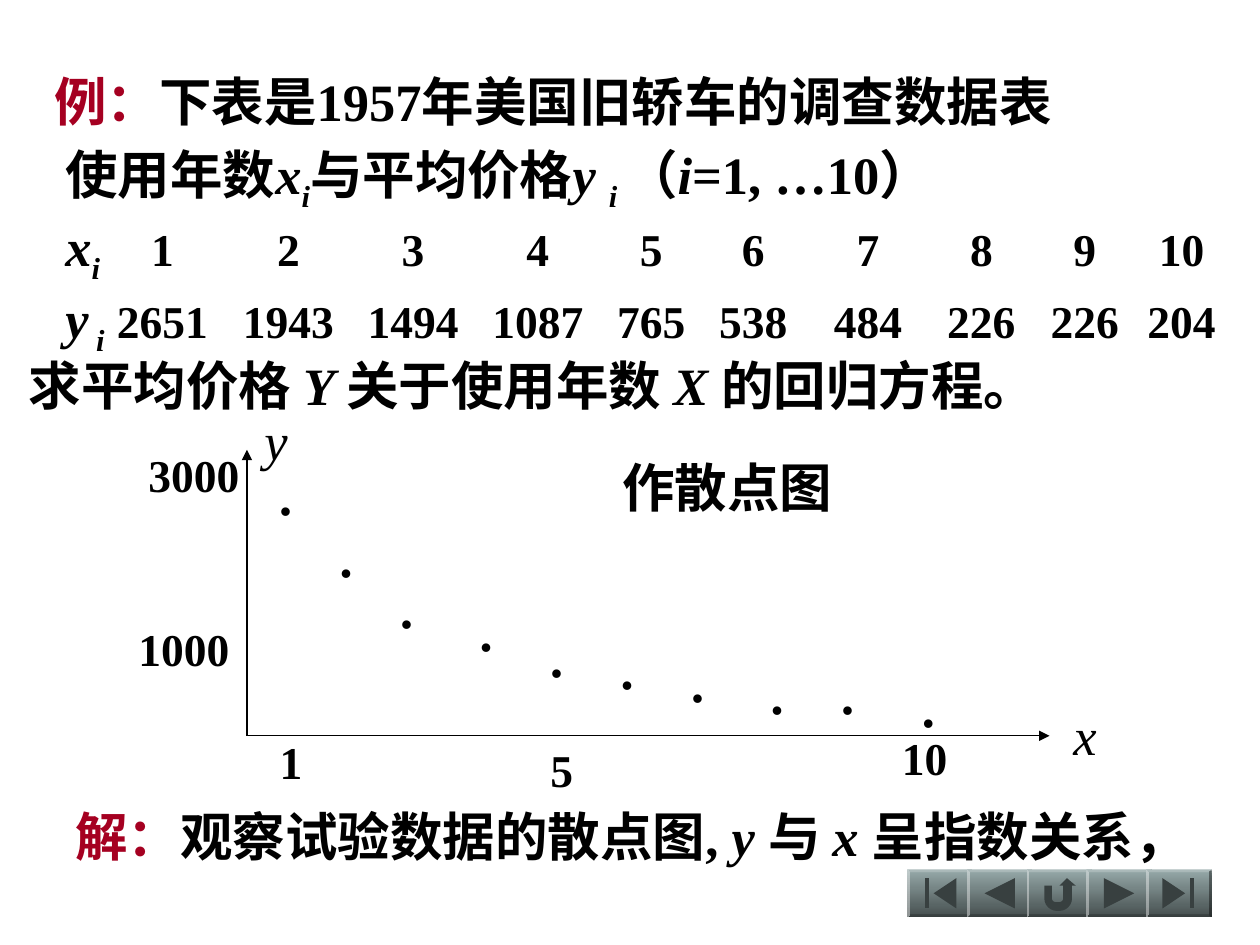
from dataclasses import dataclass
from math import cos, radians, sin

from lxml.etree import SubElement
from pptx import Presentation
from pptx.dml.color import RGBColor
from pptx.enum.shapes import MSO_CONNECTOR, MSO_SHAPE
from pptx.enum.text import MSO_ANCHOR, MSO_AUTO_SIZE, PP_ALIGN
from pptx.oxml.ns import qn
from pptx.util import Inches, Pt

FONT = "Times New Roman"
BLACK, RED = "000000", "A50021"
ICON_COLOR = "384040"
BUTTON_WIDTH, BUTTON_HEIGHT, BUTTON_STEP = 0.52, 0.38, 0.474
DATA_TABS = [0.77, 1.77, 2.76, 3.75, 4.65, 5.46, 6.37, 7.27, 8.09, 8.86]
YEARS = range(1, 11)
PRICES = [2651, 1943, 1494, 1087, 765, 538, 484, 226, 226, 204]
DOTS = [(2.1, 3.74), (2.58, 4.23), (3.06, 4.63), (3.69, 4.82), (4.25, 5.02),
        (4.81, 5.12), (5.37, 5.22), (6, 5.32), (6.56, 5.32), (7.2, 5.42)]


@dataclass
class Span:
    text: str
    size: float = 30
    color: str = BLACK
    bold: bool = True
    italic: bool = False
    baseline: int = 0


@dataclass
class Label:
    left: float
    top: float
    width: float
    height: float
    span: Span


def rgb(color: str) -> RGBColor:
    return RGBColor.from_string(color)


def variable(text: str) -> Span:
    return Span(text, italic=True)


def subscript(text: str) -> Span:
    return Span(text, italic=True, baseline=-25000)


def add_span(para, span: Span) -> None:
    run = para.add_run()
    run.text = span.text
    run.font.name = FONT
    run.font.size = Pt(span.size)
    run.font.bold = span.bold
    run.font.italic = span.italic
    run.font.color.rgb = rgb(span.color)
    if span.baseline:
        run.font._element.set("baseline", str(span.baseline))


def write_text(box, lines, *, wrap=False, spacing=36, tabs=()) -> None:
    frame = box.text_frame
    frame.word_wrap = wrap
    frame.auto_size = MSO_AUTO_SIZE.NONE
    frame.vertical_anchor = MSO_ANCHOR.TOP
    for number, spans in enumerate(lines):
        para = frame.add_paragraph() if number else frame.paragraphs[0]
        para.alignment = PP_ALIGN.LEFT
        para.line_spacing = Pt(spacing)
        if tabs:
            tab_list = SubElement(para._p.get_or_add_pPr(), qn("a:tabLst"))
            for position in tabs:
                tab = SubElement(tab_list, qn("a:tab"))
                tab.set("pos", str(Inches(position)))
                tab.set("algn", "ctr")
        for span in spans:
            add_span(para, span)


def add_text(slide, left, top, width, height, lines, **options) -> None:
    box = slide.shapes.add_textbox(Inches(left), Inches(top), Inches(width), Inches(height))
    write_text(box, lines, **options)


def add_axis(slide, start, end) -> None:
    axis = slide.shapes.add_connector(MSO_CONNECTOR.STRAIGHT, *map(Inches, start + end))
    axis.line.color.rgb = rgb(BLACK)
    axis.line.width = Pt(0.75)
    SubElement(axis.line._get_or_add_ln(), qn("a:tailEnd")).set("type", "triangle")
    SubElement(axis._element.spPr, qn("a:effectLst"))


def arc(center_x, center_y, radius, first, last):
    step = (last - first) // 6
    return [(center_x + radius * cos(radians(angle)), center_y + radius * sin(radians(angle)))
            for angle in range(first, last + step, step)]


def mirror(outlines):
    return [[(BUTTON_WIDTH - x, y) for x, y in points] for points in outlines]


def add_button(slide, left, top, outlines) -> None:
    face = slide.shapes.add_shape(MSO_SHAPE.BEVEL, Inches(left), Inches(top),
                                  Inches(BUTTON_WIDTH), Inches(BUTTON_HEIGHT))
    face.adjustments[0] = 0.06
    face.shadow.inherit = False
    face.line.fill.background()
    face.fill.gradient()
    face.fill.gradient_angle = 270
    for stop, color, position in zip(face.fill.gradient_stops, ("96A9A9", "454E4E"), (0, 1)):
        stop.color.rgb = rgb(color)
        stop.position = position
    for points in outlines:
        corners = [(Inches(left + x), Inches(top + y)) for x, y in points]
        builder = slide.shapes.build_freeform(*corners[0], scale=1.0)
        builder.add_line_segments(corners[1:], close=True)
        icon = builder.convert_to_shape()
        icon.shadow.inherit = False
        icon.fill.solid()
        icon.fill.fore_color.rgb = rgb(ICON_COLOR)
        icon.line.fill.background()


def add_navigation(slide) -> None:
    first = [[(0.21, 0.19), (0.39, 0.07), (0.39, 0.31)],
             [(0.14, 0.07), (0.17, 0.07), (0.17, 0.31), (0.14, 0.31)]]
    back = [[(0.14, 0.19), (0.38, 0.07), (0.38, 0.31)]]
    turn = [[(0.14, 0.13), (0.2, 0.13),
             *arc(0.23, 0.23, 0.03, 180, 90), *arc(0.26, 0.23, 0.03, 90, 0),
             (0.29, 0.13), (0.26, 0.13), (0.32, 0.07), (0.39, 0.13), (0.36, 0.13),
             *arc(0.26, 0.23, 0.1, 0, 90), *arc(0.24, 0.23, 0.1, 90, 180)]]
    for number, outlines in enumerate([first, back, turn, mirror(back), mirror(first)]):
        add_button(slide, 7.2 + number * BUTTON_STEP, 6.9, outlines)


def data_row(values) -> Span:
    return Span("".join(f"\t{value}" for value in values), size=26)


def add_problem(slide) -> None:
    title = slide.shapes.title
    title.left, title.top, title.width, title.height = map(Inches, (0.33, 0.5, 9, 0.6))
    write_text(title, [[Span("例：", color=RED), Span("下表是1957年美国旧轿车的调查数据表")]],
               wrap=True)
    add_text(slide, 0.13, 2.75, 8.84, 0.6, [[
        Span("求平均价格 "), variable("Y "), Span("关于使用年数 "), variable("X "),
        Span("的回归方程。")]], wrap=True)
    add_text(slide, 0.42, 1.08, 9.42, 1.81, [
        [Span("使用年数"), variable("x"), subscript("i"), Span("与平均价格"), variable("y "),
         subscript("i "), Span("（"), variable("i"), Span("=1, …10）")],
        [variable("x"), subscript("i"), data_row(YEARS)],
        [variable("y"), subscript(" i"), data_row(PRICES)],
    ], wrap=True, spacing=41, tabs=DATA_TABS)


def add_scatter(slide) -> None:
    add_text(slide, 4.84, 3.56, 1.86, 0.6, [[Span("作散点图")]])
    origin = (1.96, 5.84)
    add_axis(slide, origin, (8.33, 5.84))
    add_axis(slide, origin, (1.96, 3.57))
    labels = [
        Label(2.12, 5.78, 0.38, 0.54, Span("1", size=26)),
        Label(4.27, 5.84, 0.38, 0.54, Span("5", size=26)),
        Label(7.06, 5.75, 0.57, 0.54, Span("10", size=26)),
        Label(1.08, 3.5, 0.92, 0.54, Span("3000", size=26)),
        Label(1, 4.88, 0.92, 0.54, Span("1000", size=26)),
        Label(8.42, 5.53, 0.38, 0.6, Span("x", bold=False, italic=True)),
        Label(2, 3.19, 0.38, 0.6, Span("y", bold=False, italic=True)),
    ]
    labels += [Label(left, top, 0.34, 0.6, Span("·")) for left, top in DOTS]
    for label in labels:
        add_text(slide, label.left, label.top, label.width, label.height, [[label.span]],
                 spacing=round(label.span.size * 1.2))


def main() -> None:
    deck = Presentation()
    deck.slide_width, deck.slide_height = Inches(10), Inches(7.5)
    page = deck.slides.add_slide(deck.slide_layouts[5])
    add_navigation(page)
    add_problem(page)
    add_scatter(page)
    add_text(page, 0.5, 6.33, 9.67, 0.6, [[
        Span("解：", color=RED), Span("观察试验数据的散点图, "), variable("y "), Span("与 "),
        variable("x "), Span("呈指数关系，")]], wrap=True)
    deck.save("out.pptx")


if __name__ == "__main__":
    main()
